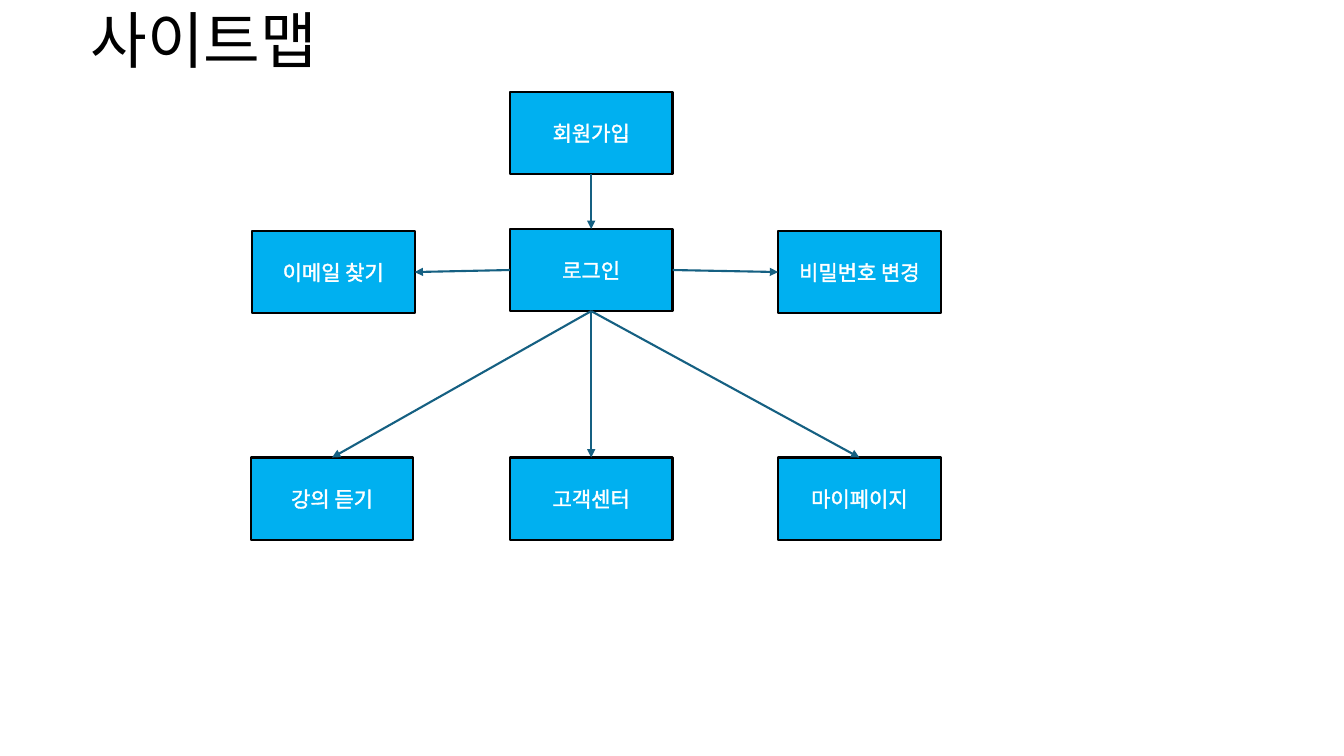
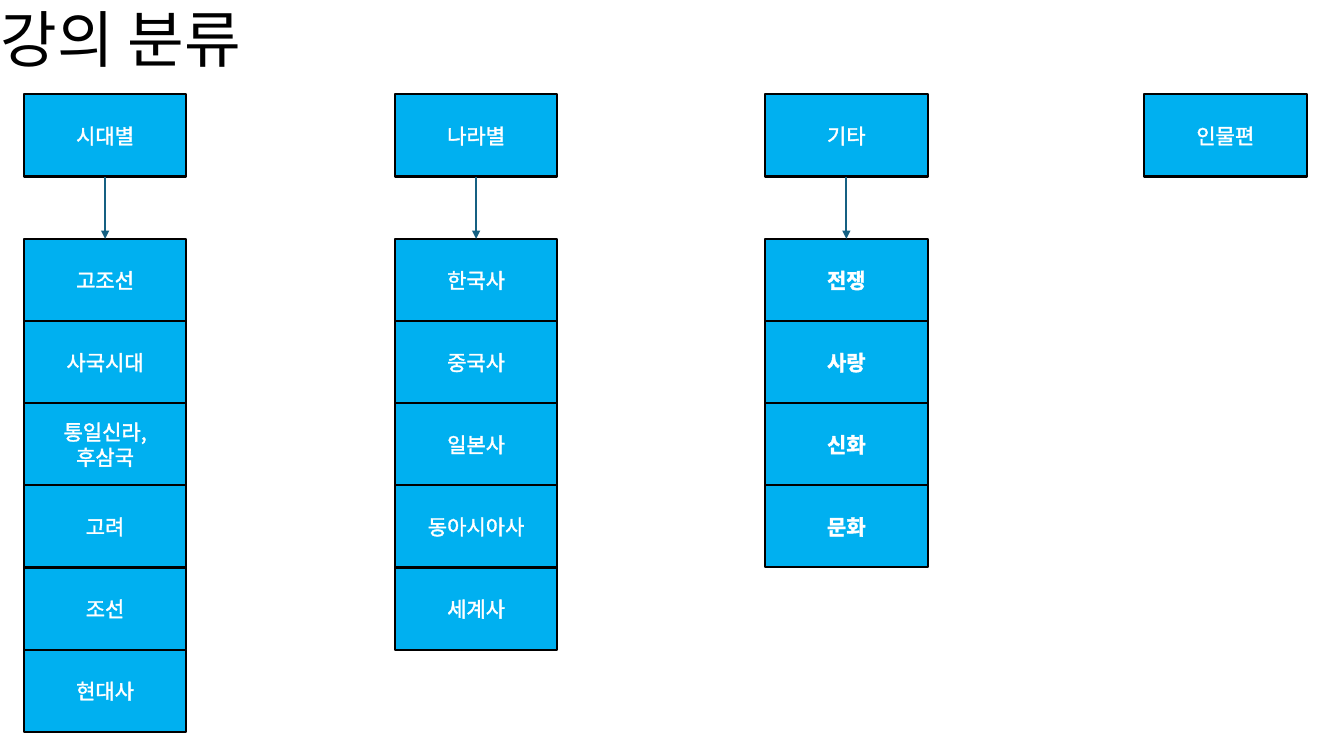
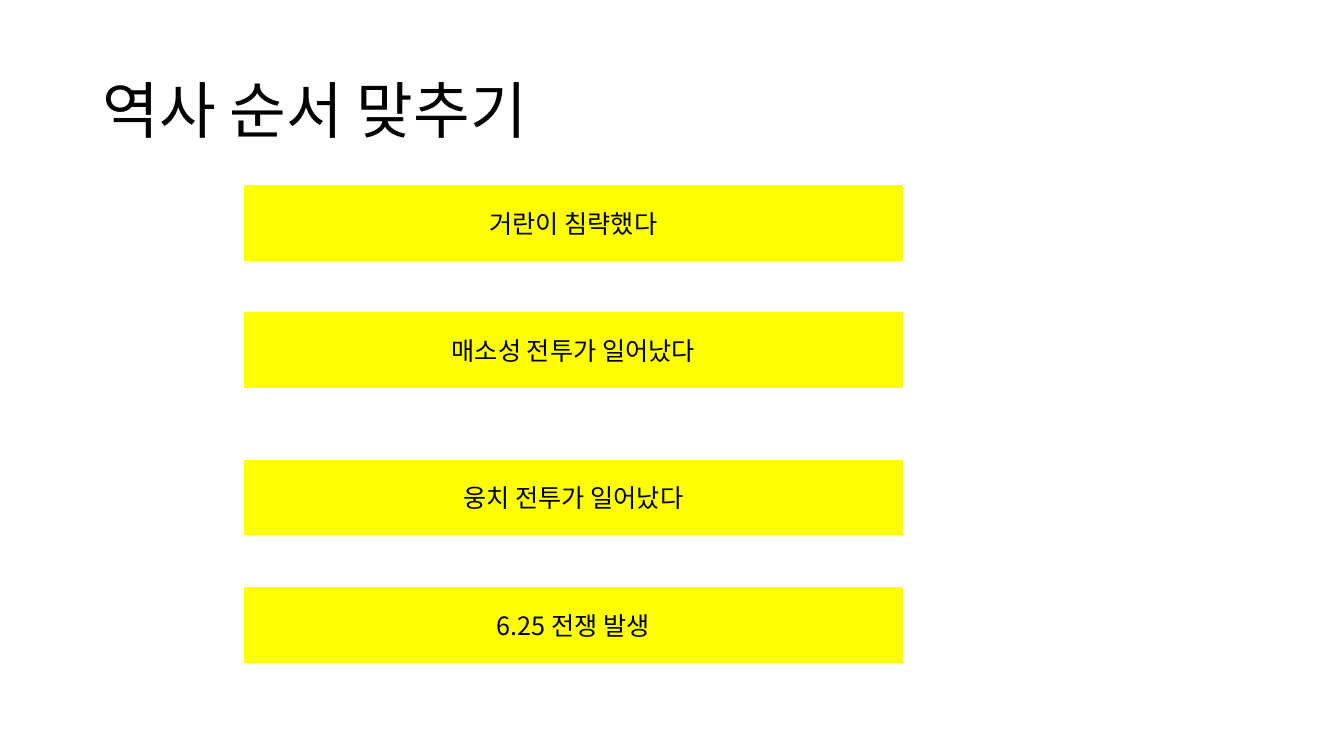
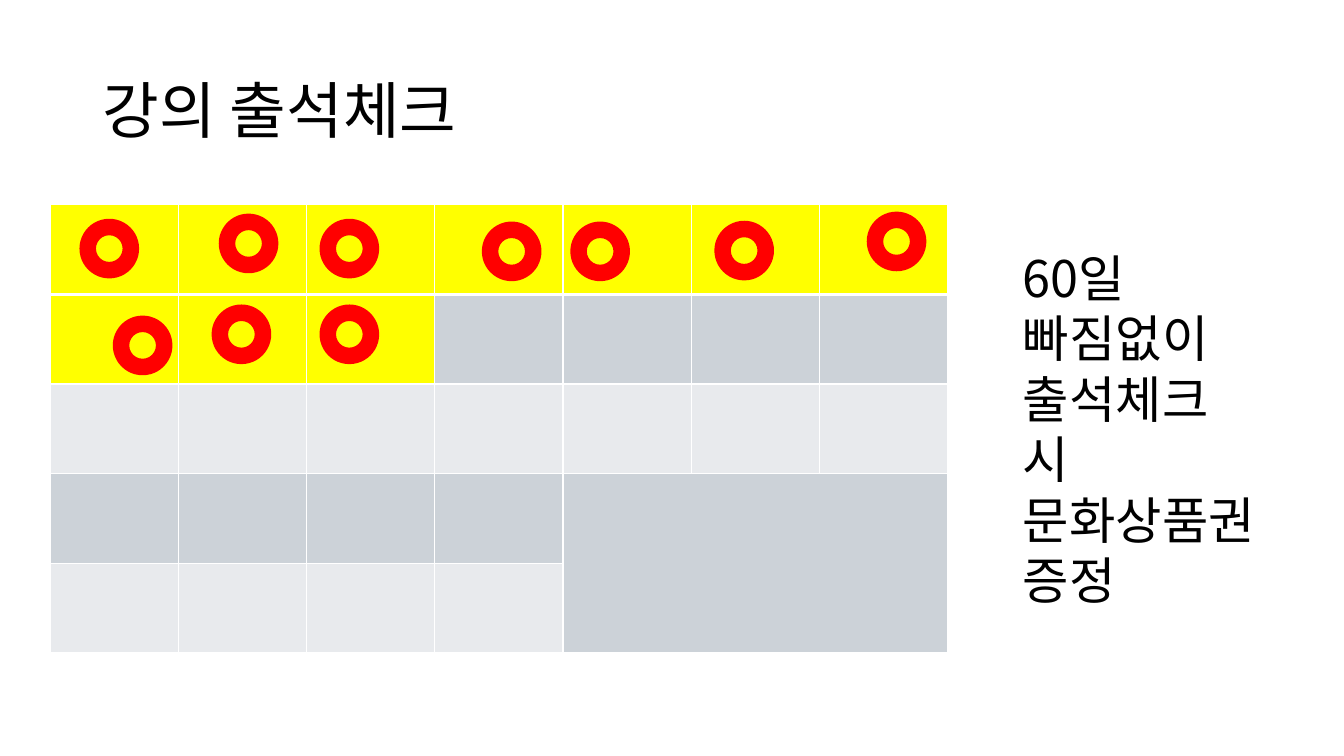
from dataclasses import dataclass

from lxml.etree import SubElement
from pptx import Presentation
from pptx.dml.color import RGBColor
from pptx.enum.shapes import MSO_CONNECTOR, MSO_SHAPE
from pptx.enum.text import MSO_ANCHOR, PP_ALIGN
from pptx.oxml import parse_xml
from pptx.oxml.ns import nsdecls, qn
from pptx.util import Cm, Pt


@dataclass(frozen=True)
class Theme:
    font: str = "Noto Sans CJK KR"
    black: str = "000000"
    white: str = "FFFFFF"
    blue: str = "00B0F0"
    arrow: str = "156082"
    yellow: str = "FFFF00"
    red: str = "FF0000"
    dark_band: str = "CCD2D8"
    light_band: str = "E8EAED"
    title_size: int = 44
    notice_size: int = 36
    event_size: int = 18
    node_size: int = 15
    line_width: float = 1.5
    text_outline: float = 0.75


THEME = Theme()
NODE_WIDTH, NODE_HEIGHT = 4.1, 2.07
TOP, LEFT, BOTTOM, RIGHT = range(4)  # connection sites of a rectangle


def rgb(color):
    return RGBColor.from_string(color)


def line_xml(tag, color, width):
    return parse_xml(
        f'<a:{tag} {nsdecls("a")} w="{Pt(width)}"><a:solidFill>'
        f'<a:srgbClr val="{color}"/></a:solidFill></a:{tag}>')


def set_text(frame, text, size, color, bold=None, align=None, outlined=False):
    """Fill the frame with one paragraph per line and format every run."""
    frame.word_wrap = True
    frame.text = text
    for para in frame.paragraphs:
        para.alignment = align
        for span in para.runs:
            font = span.font
            font.name = THEME.font
            font.size = Pt(size)
            font.bold = bold
            font.color.rgb = rgb(color)
            properties = font._element
            east_asian = SubElement(properties, qn("a:ea"))
            east_asian.set("typeface", THEME.font)
            if outlined:
                properties.insert(0, line_xml("ln", color, THEME.text_outline))


def add_page(deck, title, left, top):
    page = deck.slides.add_slide(deck.slide_layouts[6])
    box = page.shapes.add_textbox(Cm(left), Cm(top), Cm(29.21), Cm(3.68))
    frame = box.text_frame
    set_text(frame, title, THEME.title_size, THEME.black)
    frame.vertical_anchor = MSO_ANCHOR.MIDDLE
    frame.paragraphs[0].line_spacing = 0.9
    return page


def add_figure(page, kind, left, top, width, height, fill, line):
    shape = page.shapes.add_shape(
        kind, Cm(left), Cm(top), Cm(width), Cm(height))
    shape.shadow.inherit = False
    shape.fill.solid()
    shape.fill.fore_color.rgb = rgb(fill)
    shape.line.color.rgb = rgb(line)
    shape.line.width = Pt(THEME.line_width)
    return shape


def add_node(page, text, left, top, bold=None):
    node = add_figure(page, MSO_SHAPE.RECTANGLE, left, top, NODE_WIDTH,
                      NODE_HEIGHT, THEME.blue, THEME.black)
    set_text(node.text_frame, text, THEME.node_size, THEME.white, bold,
             PP_ALIGN.CENTER, outlined=True)
    return node


def add_event(page, text, top):
    event = add_figure(page, MSO_SHAPE.RECTANGLE, 6.17, top, 16.56, 1.85,
                       THEME.yellow, THEME.yellow)
    set_text(event.text_frame, text, THEME.event_size, THEME.black,
             align=PP_ALIGN.CENTER, outlined=True)


def add_arrow(page, start, start_site, end, end_site):
    arrow = page.shapes.add_connector(MSO_CONNECTOR.STRAIGHT, 0, 0, 0, 0)
    arrow.begin_connect(start, start_site)
    arrow.end_connect(end, end_site)
    arrow.line.color.rgb = rgb(THEME.arrow)
    arrow.line.width = Pt(THEME.line_width)
    SubElement(arrow.line._get_or_add_ln(), qn("a:tailEnd")).set(
        "type", "triangle")
    SubElement(arrow._element.spPr, qn("a:effectLst"))


def style_cell(cell, fill, top_width, bottom_width):
    cell.fill.solid()
    cell.fill.fore_color.rgb = rgb(fill)
    borders = {"lnL": 1, "lnR": 1, "lnT": top_width, "lnB": bottom_width}
    properties = cell._tc.get_or_add_tcPr()
    for position, (tag, width) in enumerate(borders.items()):
        properties.insert(position, line_xml(tag, THEME.white, width))


def add_calendar(page, rows, columns, attended):
    """Add a banded grid whose first `attended` cells are highlighted."""
    table = page.shapes.add_table(
        rows, columns, Cm(1.27), Cm(5.16),
        Cm(3.23 * columns), Cm(2.26 * rows)).table
    table.first_row = table.horz_banding = False
    for row in range(rows):
        band = THEME.dark_band if row % 2 else THEME.light_band
        for column in range(columns):
            checked = row * columns + column < attended
            style_cell(table.cell(row, column),
                       THEME.yellow if checked else band,
                       top_width=3 if row == 1 else 1,
                       bottom_width=3 if row == 0 else 1)
    table.cell(3, 4).merge(table.cell(4, 6))


def build_site_map(deck):
    page = add_page(deck, "사이트맵", 2.03, -0.74)
    sign_up = add_node(page, "회원가입", 12.85, 2.31)
    login = add_node(page, "로그인", 12.85, 5.77)
    find_email = add_node(page, "이메일 찾기", 6.35, 5.82)
    password = add_node(page, "비밀번호 변경", 19.61, 5.82)
    add_arrow(page, sign_up, BOTTOM, login, TOP)
    add_arrow(page, login, RIGHT, password, LEFT)
    add_arrow(page, login, LEFT, find_email, RIGHT)
    for text, left in (("강의 듣기", 6.32), ("고객센터", 12.85),
                       ("마이페이지", 19.61)):
        add_arrow(page, login, BOTTOM, add_node(page, text, left, 11.53), TOP)


def build_lecture_groups(deck):
    page = add_page(deck, "강의 분류", -0.23, -0.76)
    groups = (
        ("시대별", 0.6, None, ("고조선", "사국시대", "통일신라,\n후삼국",
                            "고려", "조선", "현대사")),
        ("나라별", 9.95, None, ("한국사", "중국사", "일본사", "동아시아사",
                             "세계사")),
        ("기타", 19.28, True, ("전쟁", "사랑", "신화", "문화")),
        ("인물편", 28.83, None, ()),
    )
    for heading, left, bold, topics in groups:
        head = add_node(page, heading, left, 2.38)
        nodes = [add_node(page, topic, left, 6.02 + NODE_HEIGHT * row, bold)
                 for row, topic in enumerate(topics)]
        if nodes:
            add_arrow(page, head, BOTTOM, nodes[0], TOP)


def build_order_quiz(deck):
    page = add_page(deck, "역사 순서 맞추기", 2.34, 1.02)
    for text, top in (("거란이 침략했다", 4.7),
                      ("매소성 전투가 일어났다", 7.9),
                      ("웅치 전투가 일어났다", 11.61),
                      ("6.25 전쟁 발생", 14.83)):
        add_event(page, text, top)


def build_attendance(deck):
    page = add_page(deck, "강의 출석체크", 2.34, 1.02)
    stamps = ((2.03, 5.54), (5.54, 5.41), (8.08, 5.54), (12.17, 5.61),
              (14.4, 5.61), (18.03, 5.59), (21.87, 5.36),
              (2.87, 7.98), (5.36, 7.7), (8.08, 7.7))
    add_calendar(page, rows=5, columns=7, attended=len(stamps))
    notice = page.shapes.add_textbox(Cm(25.53), Cm(6.1), Cm(6.55), Cm(7.95))
    set_text(notice.text_frame, "60일 빠짐없이 출석체크 시\n문화상품권 증정",
             THEME.notice_size, THEME.black)
    for left, top in stamps:
        add_figure(page, MSO_SHAPE.DONUT, left, top, 1.45, 1.45,
                   THEME.red, THEME.red)


def main():
    deck = Presentation()
    deck.slide_width, deck.slide_height = Cm(33.87), Cm(19.05)
    build_site_map(deck)
    build_lecture_groups(deck)
    build_order_quiz(deck)
    build_attendance(deck)
    deck.save("out.pptx")


if __name__ == "__main__":
    main()
